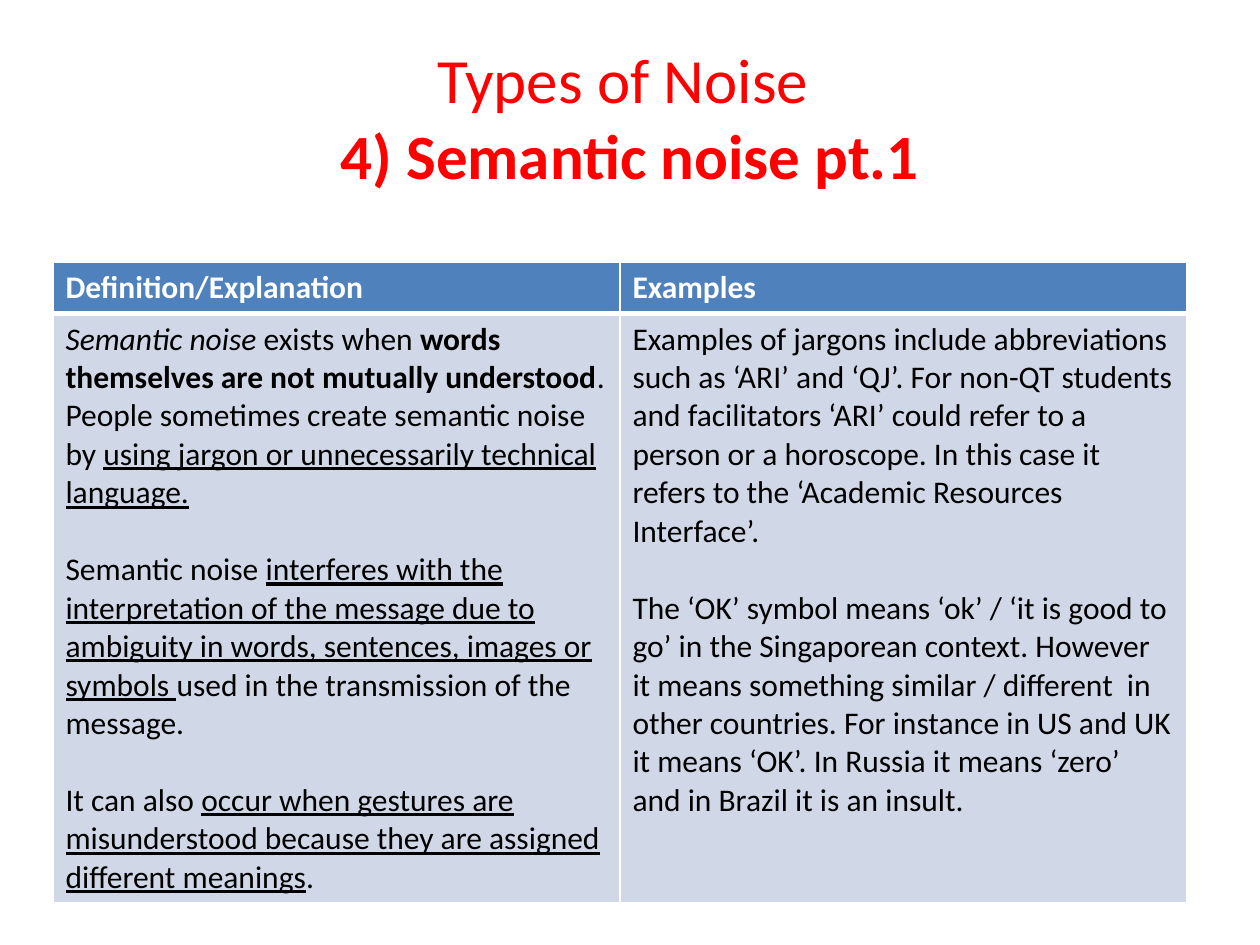
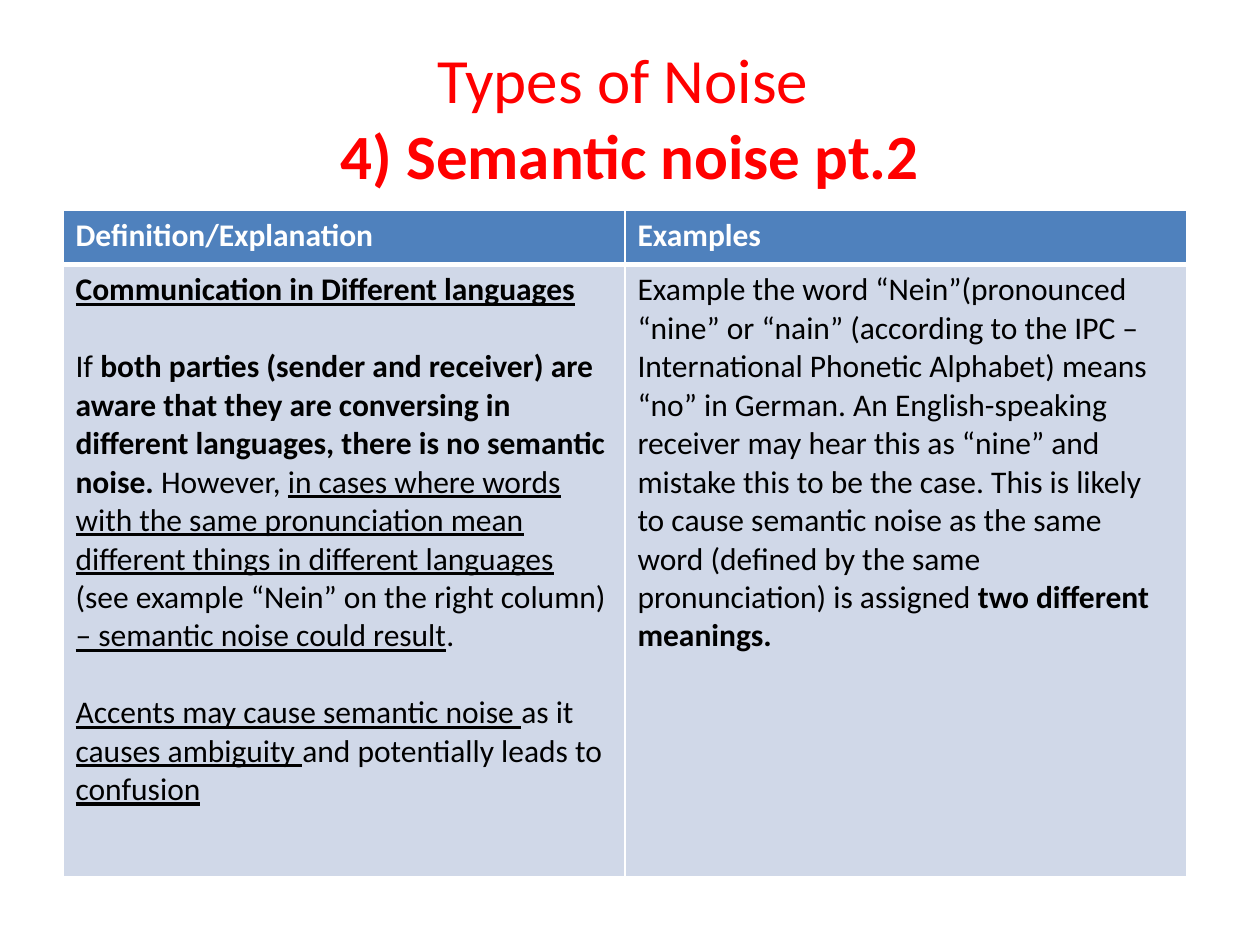
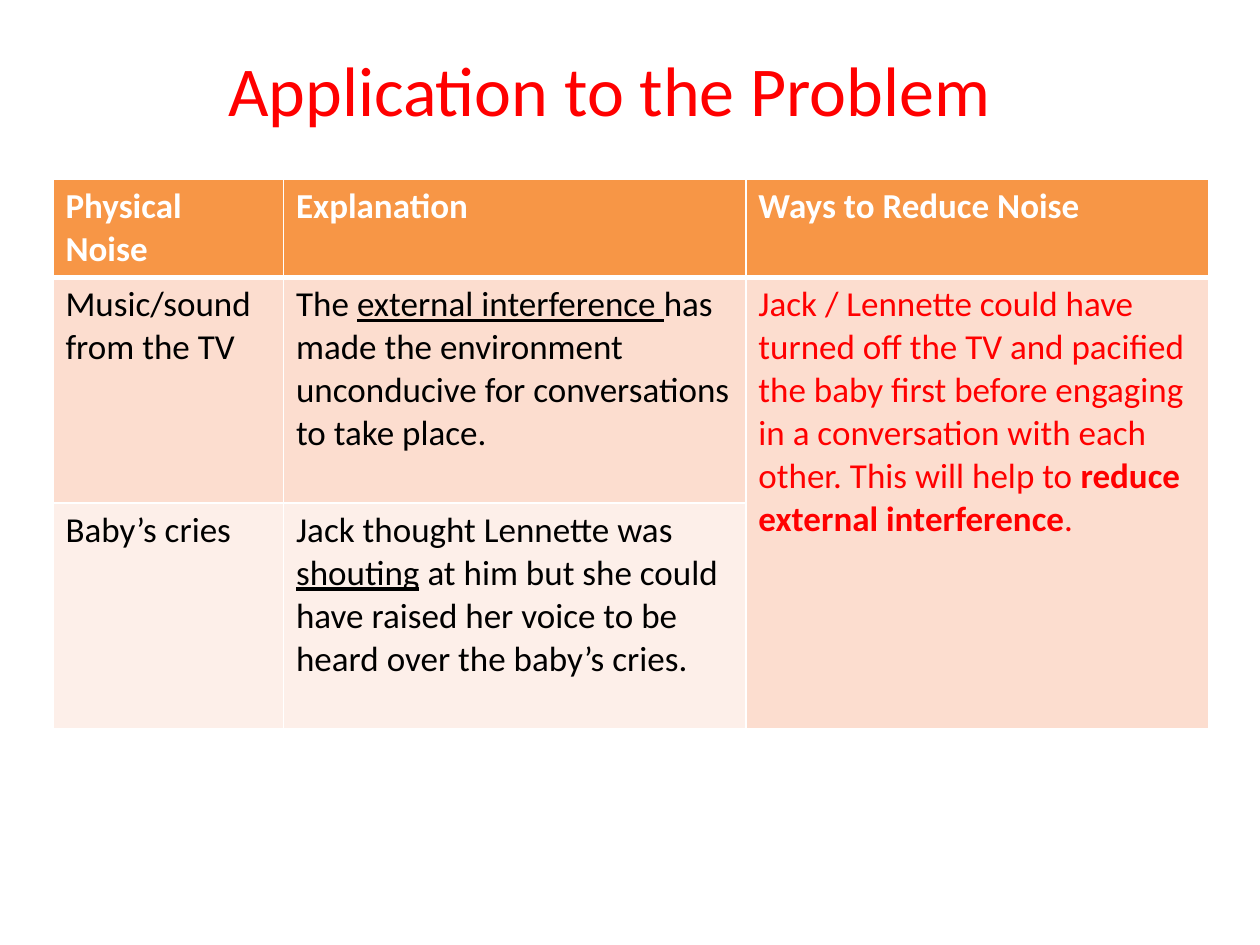
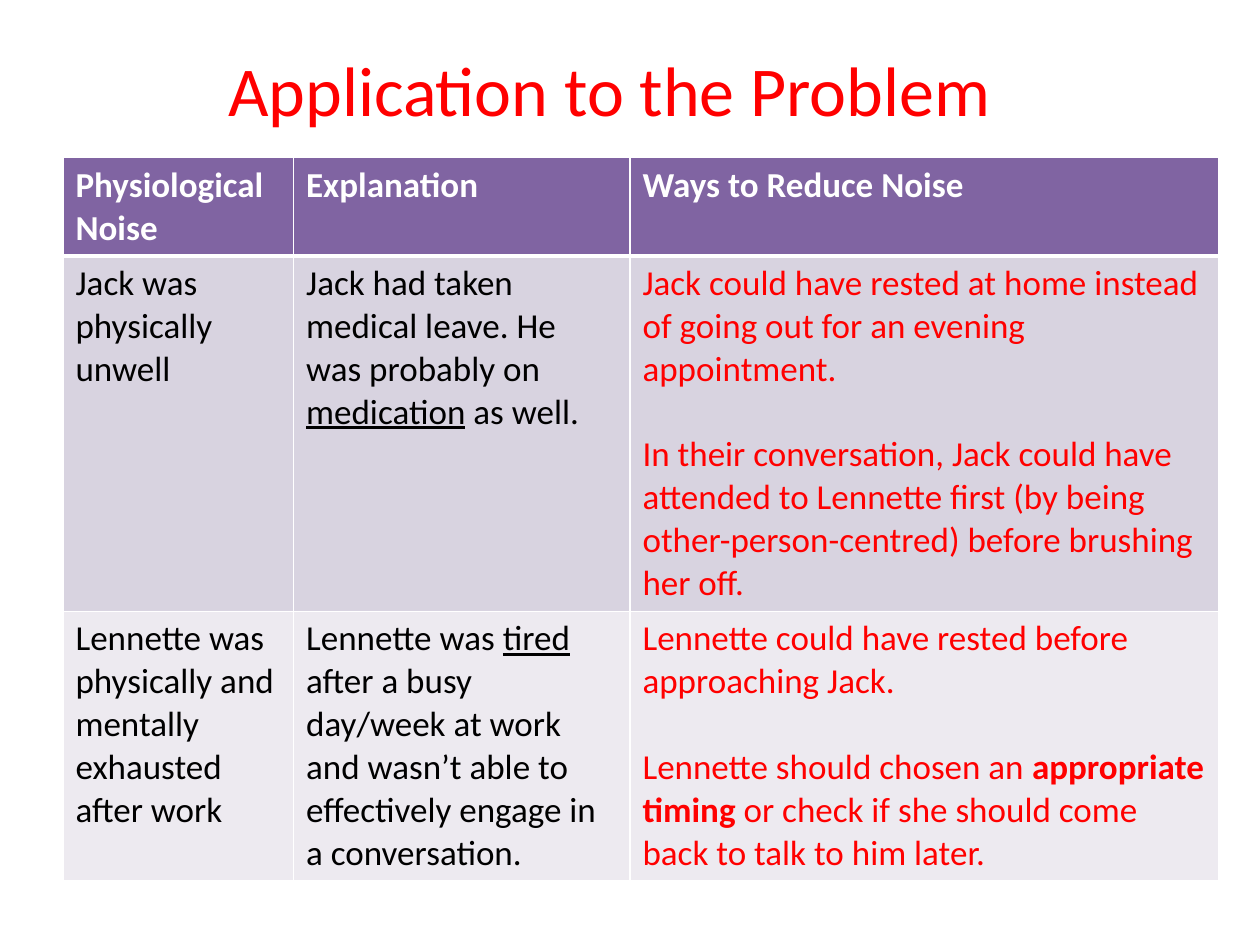
from dataclasses import dataclass

from lxml.etree import SubElement
from pptx import Presentation
from pptx.dml.color import RGBColor as RGB
from pptx.enum.text import MSO_ANCHOR as Anchor, PP_ALIGN as Align
from pptx.oxml.ns import qn
from pptx.util import Inches, Pt


@dataclass(frozen=True)
class Palette:
    """Fills of one table: header row, then alternating body rows."""
    header: str
    bands: tuple


@dataclass(frozen=True)
class Theme:
    font: str = "Calibri"
    accent: str = "FF0000"
    ink: str = "000000"
    white: str = "FFFFFF"
    topic_size: int = 36
    application_size: int = 40
    definition_size: int = 18
    remedy_size: int = 20
    line_height: float = 1.22
    thin: int = 1
    thick: int = 3
    blue: Palette = Palette("4F81BD", ("D0D8E8",))
    orange: Palette = Palette("F79646", ("FCDDCF", "FDEFE9"))
    purple: Palette = Palette("8064A2", ("D8D3E0", "EDEAF0"))


THEME = Theme()
TOPIC_BOX = (0.5, 0.3, 9, 1.25)
APPLICATION_BOX = (0.67, 0.08, 8.33, 1.25)
DEFINITION_HEADINGS = ["Definition/Explanation", "Examples"]
REMEDY_HEADINGS = ["Explanation", "Ways to Reduce Noise"]


def bold(text):
    return text, {"bold": True}


def italic(text):
    return text, {"italic": True}


def underlined(text, **more):
    return text, {"underline": True, **more}


def add_run(paragraph, part, size, color, **base):
    """Add a plain string or a (text, format values) pair as one run."""
    text, marks = (part, {}) if isinstance(part, str) else part
    run = paragraph.add_run()
    run.text = text
    values = {"name": THEME.font, "size": Pt(size), "bold": False, **base, **marks}
    for name, value in values.items():
        setattr(run.font, name, value)
    run.font.color.rgb = RGB.from_string(color)


def add_titled_slide(deck, box, size, lines):
    slide = deck.slides.add_slide(deck.slide_layouts[5])
    title = slide.shapes.title
    title.left, title.top, title.width, title.height = map(Inches, box)
    title.text_frame.vertical_anchor = Anchor.MIDDLE
    paragraph = title.text_frame.paragraphs[0]
    paragraph.alignment = Align.CENTER
    for index, line in enumerate(lines):
        if index:
            paragraph.add_line_break()
        add_run(paragraph, line, size, THEME.accent)
    return slide


def set_borders(cell, top, bottom):
    """Draw white cell borders; call before the cell gets its fill."""
    properties = cell._tc.get_or_add_tcPr()
    widths = {"L": THEME.thin, "R": THEME.thin, "T": top, "B": bottom}
    for side, width in widths.items():
        line = SubElement(properties, qn(f"a:ln{side}"), w=str(Pt(width)))
        fill = SubElement(line, qn("a:solidFill"))
        SubElement(fill, qn("a:srgbClr"), val=THEME.white)


def fill_cell(cell, paragraphs, fill, size, color, **base):
    cell.fill.solid()
    cell.fill.fore_color.rgb = RGB.from_string(fill)
    for index, parts in enumerate(paragraphs):
        frame = cell.text_frame
        paragraph = frame.add_paragraph() if index else frame.paragraphs[0]
        if index:
            paragraph.space_before = Pt(size * THEME.line_height)
        for part in parts:
            add_run(paragraph, part, size, color, **base)


def add_noise_table(slide, origin, widths, heights, palette, size, headings, body,
                    last_color=THEME.ink):
    """Body cells are lists of paragraphs; None joins a cell to the one above."""
    frame = slide.shapes.add_table(
        len(heights), len(widths), *map(Inches, (*origin, sum(widths), sum(heights))))
    table = frame.table
    table.horz_banding = False
    for column, width in zip(table.columns, widths):
        column.width = Inches(width)
    for row, height in zip(table.rows, heights):
        row.height = Inches(height)

    for c, heading in enumerate(headings):
        cell = table.cell(0, c)
        set_borders(cell, THEME.thin, THEME.thick)
        fill_cell(cell, [[heading]], palette.header, size, THEME.white, bold=True)

    for r, row in enumerate(body, start=1):
        band = palette.bands[(r - 1) % len(palette.bands)]
        for c, paragraphs in enumerate(row):
            cell = table.cell(r, c)
            set_borders(cell, THEME.thick if r == 1 else THEME.thin, THEME.thin)
            if paragraphs is None:
                table.cell(r - 1, c).merge(cell)
                continue
            color = last_color if c == len(row) - 1 else THEME.ink
            fill_cell(cell, paragraphs, band, size, color)


def add_definition_slide(deck, part, origin, widths, heights, definition, examples):
    slide = add_titled_slide(deck, TOPIC_BOX, THEME.topic_size,
                             ["Types of Noise ", bold(f"4) Semantic noise pt.{part}")])
    add_noise_table(slide, origin, widths, heights, THEME.blue, THEME.definition_size,
                    DEFINITION_HEADINGS, [[definition, examples]])


def add_application_slide(deck, noise, origin, widths, heights, palette, body):
    slide = add_titled_slide(deck, APPLICATION_BOX, THEME.application_size,
                             ["Application to the Problem"])
    add_noise_table(slide, origin, widths, heights, palette, THEME.remedy_size,
                    [noise, *REMEDY_HEADINGS], body, THEME.accent)


def add_jargon(deck):
    definition = [
        [italic("Semantic noise "), "exists when ",
         bold("words themselves are not mutually understood"),
         ". People sometimes create semantic noise by ",
         underlined("using jargon or unnecessarily technical language.")],
        ["Semantic noise ",
         underlined("interferes with the interpretation of the message due to "
                    "ambiguity in words, sentences, images or symbols "),
         "used in the transmission of the message."],
        ["It can also ",
         underlined("occur when gestures are misunderstood because they are "
                    "assigned different meanings"), "."],
    ]
    examples = [
        ["Examples of jargons include abbreviations such as ‘ARI’ and ‘QJ’. For "
         "non-QT students and facilitators ‘ARI’ could refer to a person or a "
         "horoscope. In this case it refers to the ‘Academic Resources Interface’."],
        ["The ‘OK’ symbol means ‘ok’ / ‘it is good to go’ in the Singaporean "
         "context. However it means something similar / different  in other "
         "countries. For instance in US and UK it means ‘OK’. In Russia it means "
         "‘zero’ and in Brazil it is an insult."],
    ]
    add_definition_slide(deck, 1, (0.42, 2.08), [4.5] * 2, [0.41, 4.6],
                         definition, examples)


def add_languages(deck):
    definition = [
        [underlined("Communication in Different languages", bold=True)],
        ["If ",
         bold("both parties (sender and receiver) are aware that they are conversing "
              "in different languages, there is no semantic noise."),
         " However, ",
         underlined("in cases where words with the same pronunciation mean different "
                    "things in different languages "),
         "(see example “Nein” on the right column) ",
         underlined("– semantic noise could result"), "."],
        [underlined("Accents may cause semantic noise "), "as it ",
         underlined("causes ambiguity "), "and potentially leads to ",
         underlined("confusion")],
    ]
    examples = [
        ["Example the word “Nein”(pronounced “nine” or “nain” (according to the IPC – "
         "International Phonetic Alphabet) means “no” in German. An English-speaking "
         "receiver may hear this as “nine” and mistake this to be the case. This is "
         "likely to cause semantic noise as the same word (defined by the same "
         "pronunciation) is assigned ", bold("two different meanings.")],
    ]
    add_definition_slide(deck, 2, (0.5, 1.67), [4.46] * 2, [0.43, 4.86],
                         definition, examples)


def add_physical_noise(deck):
    body = [
        [[["Music/sound from the TV"]],
         [["The ", underlined("external interference "),
           "has made the environment unconducive for conversations to take place."]],
         [["Jack / Lennette could have turned off the TV and pacified the baby first "
           "before engaging in a conversation with each other. This will help to ",
           bold("reduce external interference"), "."]]],
        [[["Baby’s cries"]],
         [["Jack thought Lennette was ", underlined("shouting"),
           " at him but she could have raised her voice to be heard over the "
           "baby’s cries."]],
         None],
    ]
    add_application_slide(deck, "Physical Noise", (0.42, 1.42), [1.83, 3.67, 3.67],
                          [0.77, 1.79, 1.79], THEME.orange, body)


def add_physiological_noise(deck):
    body = [
        [[["Jack was physically unwell"]],
         [["Jack had taken medical leave. He was probably on ",
           underlined("medication"), " as well."]],
         [["Jack could have rested at home instead of going out for an evening "
           "appointment."],
          ["In their conversation, Jack could have attended to Lennette first (by "
           "being other-person-centred) before brushing her off."]]],
        [[["Lennette was physically and mentally exhausted after work"]],
         [["Lennette was ", underlined("tired"),
           " after a busy day/week at work and wasn’t able to effectively engage in "
           "a conversation."]],
         [["Lennette could have rested before approaching Jack."],
          ["Lennette should chosen an ", bold("appropriate timing "),
           "or check if she should come back to talk to him later."]]],
    ]
    add_application_slide(deck, "Physiological Noise", (0.5, 1.25), [1.83, 2.67, 4.67],
                          [0.77, 2.77, 2.1], THEME.purple, body)


def main():
    deck = Presentation()
    deck.slide_width, deck.slide_height = Inches(10), Inches(7.5)
    add_jargon(deck)
    add_languages(deck)
    add_physical_noise(deck)
    add_physiological_noise(deck)
    deck.save("out.pptx")


if __name__ == "__main__":
    main()
